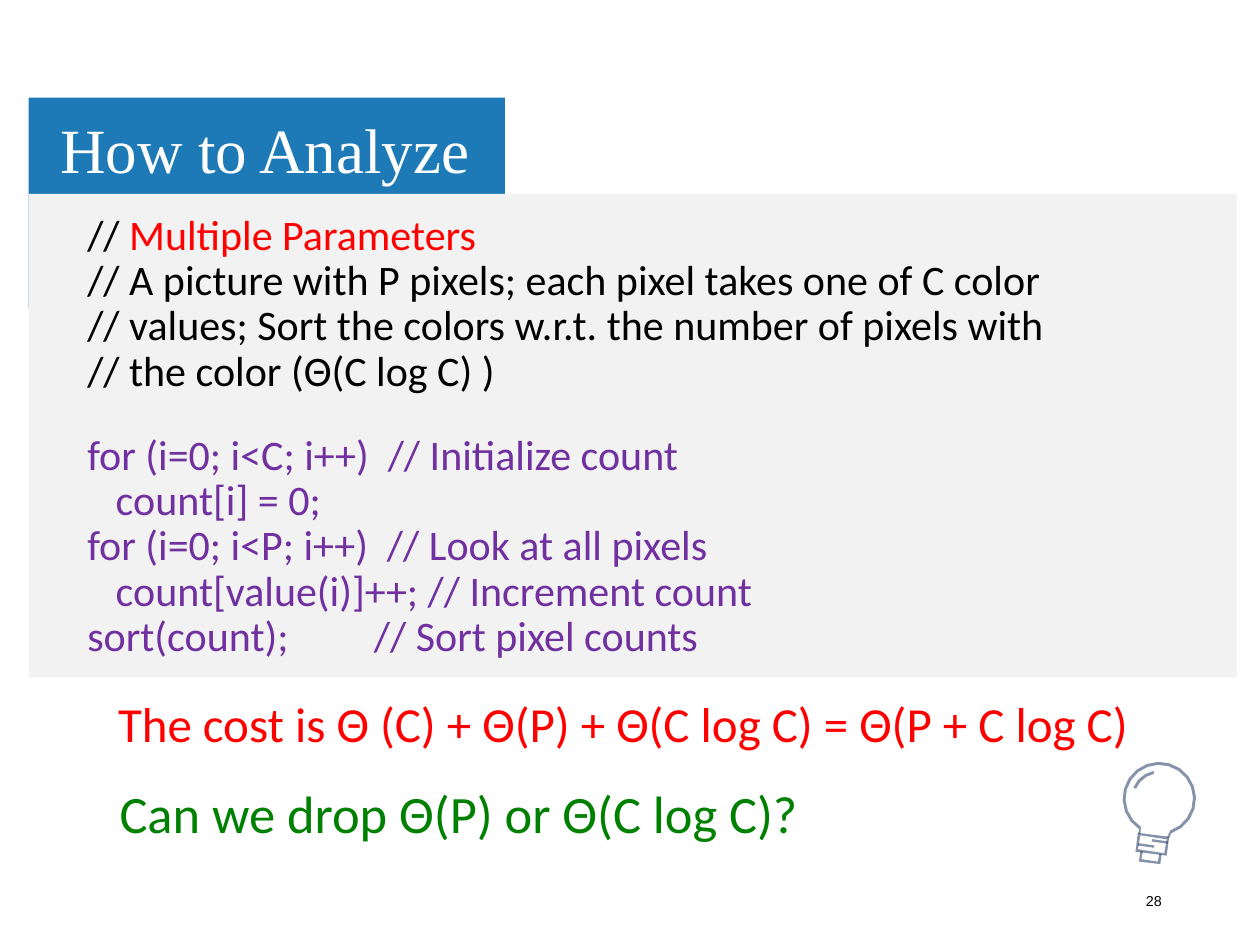
"""Build the How to Analyze slide on cost with multiple parameters."""
from math import cos, radians, sin

from lxml import etree
from pptx import Presentation
from pptx.dml.color import RGBColor
from pptx.enum.shapes import MSO_SHAPE
from pptx.enum.text import MSO_ANCHOR, PP_ALIGN
from pptx.oxml.ns import qn
from pptx.util import Cm, Pt

RECTANGLE = MSO_SHAPE.RECTANGLE
TOP, MIDDLE = MSO_ANCHOR.TOP, MSO_ANCHOR.MIDDLE
LEFT, RIGHT = PP_ALIGN.LEFT, PP_ALIGN.RIGHT

BLUE = RGBColor(0x1E, 0x7A, 0xB6)
GRAY = RGBColor(0xF2, 0xF2, 0xF2)
WHITE = RGBColor(0xFF, 0xFF, 0xFF)
BLACK = RGBColor(0x00, 0x00, 0x00)
RED = RGBColor(0xFF, 0x00, 0x00)
PURPLE = RGBColor(0x70, 0x30, 0xA0)
GREEN = RGBColor(0x00, 0x80, 0x00)
NAVY = RGBColor(0x20, 0x38, 0x64)

COMMENTS = [
    "// ",
    "// A picture with P pixels; each pixel takes one of C color",
    "// values; Sort the colors w.r.t. the number of pixels with",
    "// the color (Θ(C log C) )",
]
CODE = [
    "for (i=0; i<C; i++)  // Initialize count",
    "   count[i] = 0;",
    "for (i=0; i<P; i++)  // Look at all pixels",
    "   count[value(i)]++; // Increment count",
    "sort(count);         // Sort pixel counts",
]

BULB_CENTER = (23.37, 16.1)
BULB_TILT = 8
ARC_STEP = 18
CAP = [(23.39, 17.42), (22.96, 17.37), (22.99, 17.15), (23.04, 17.17),
       (23.01, 17.32), (23.34, 17.37), (23.37, 17.22), (23.42, 17.22)]
SOCKET_OUTER = [(23.52, 17.25), (22.89, 17.17), (22.94, 16.79), (23.57, 16.87)]
SOCKET_INNER = [(22.94, 17.12), (23.47, 17.2), (23.52, 16.92), (22.99, 16.84)]
NECK_LEFT = [(22.94, 16.81), (22.99, 16.81)]
NECK_RIGHT = [(23.52, 16.89), (23.57, 16.89)]


def style_paragraph(paragraph, size, color, font="Calibri", alignment=LEFT):
    """Set the font and alignment of a paragraph."""
    paragraph.alignment = alignment
    paragraph.font.name = font
    paragraph.font.size = Pt(size)
    paragraph.font.color.rgb = color


def paint(shape, color, opacity=100):
    """Fill a shape without line or shadow."""
    shape.shadow.inherit = False
    shape.line.fill.background()
    shape.fill.solid()
    shape.fill.fore_color.rgb = color
    if opacity < 100:
        color_element = shape.element.spPr.find(qn("a:solidFill"))[0]
        alpha = etree.SubElement(color_element, qn("a:alpha"))
        alpha.set("val", str(opacity * 1000))


def add_panel(shapes, left, top, width, height, color, opacity=100, rotation=0):
    """Add a plain rectangle measured in centimetres."""
    panel = shapes.add_shape(RECTANGLE, Cm(left), Cm(top), Cm(width), Cm(height))
    panel.rotation = rotation
    paint(panel, color, opacity)


def add_text_box(slide, left, top, width, height, anchor=TOP):
    """Add an empty wrapping text box and return its text frame."""
    box = slide.shapes.add_textbox(Cm(left), Cm(top), Cm(width), Cm(height))
    frame = box.text_frame
    frame.word_wrap = True
    frame.vertical_anchor = anchor
    return frame


def add_line(slide, text, box, size, color, **style):
    """Add a text box that holds one line."""
    paragraph = add_text_box(slide, *box).paragraphs[0]
    paragraph.text = text
    style_paragraph(paragraph, size, color, **style)


def add_title(slide):
    """Format the title placeholder and bring it above the panels."""
    title = slide.shapes.title
    title.left, title.top, title.width, title.height = Cm(1.03), Cm(2.08), Cm(9.09), Cm(2.01)
    frame = title.text_frame
    frame.margin_left = frame.margin_right = Cm(0.18)
    frame.margin_top = frame.margin_bottom = Cm(0.1)
    frame.vertical_anchor = MIDDLE
    paragraph = frame.paragraphs[0]
    paragraph.text = "How to Analyze"
    paragraph.line_spacing = 0.9
    style_paragraph(paragraph, 36, WHITE, "Times New Roman")
    slide.shapes.element.append(title.element)


def add_code(slide):
    """Add the commented listing with a gap before the code."""
    frame = add_text_box(slide, 1.51, 4.19, 23.89, 10.69)
    frame.text = "\n".join(COMMENTS + CODE)
    for index, paragraph in enumerate(frame.paragraphs):
        paragraph.line_spacing = 0.9
        style_paragraph(paragraph, 24, BLACK if index < len(COMMENTS) else PURPLE)
    frame.paragraphs[len(COMMENTS)].space_before = Pt(22)
    topic = frame.paragraphs[0].add_run()
    topic.text = "Multiple Parameters"
    topic.font.color.rgb = RED


def arc(radius, start, end):
    """Return evenly spaced points along an arc around the bulb centre."""
    steps = round(abs(end - start) / ARC_STEP)
    angles = [radians(start + (end - start) * step / steps) for step in range(steps + 1)]
    x, y = BULB_CENTER
    return [(x + radius * cos(angle), y + radius * sin(angle)) for angle in angles]


def add_outline(shapes, *contours):
    """Add a translucent freeform made of closed contours."""
    builder = None
    for contour in contours:
        first, *others = [(Cm(x), Cm(y)) for x, y in contour]
        if builder is None:
            builder = shapes.build_freeform(*first)
        else:
            builder.move_to(*first)
        builder.add_line_segments(others, close=True)
    paint(builder.convert_to_shape(), NAVY, 54)


def add_light_bulb(slide):
    """Draw the grouped light bulb icon."""
    shapes = slide.shapes.add_group_shape().shapes
    add_outline(shapes, CAP)
    add_outline(shapes, arc(0.74, 71, -237) + NECK_LEFT + arc(0.68, -237, 71) + NECK_RIGHT)
    add_outline(shapes, SOCKET_OUTER, SOCKET_INNER)
    for left, top in [(23.22, 16.94), (22.94, 17.02)]:
        add_panel(shapes, left, top, 0.33, 0.05, NAVY, 54, BULB_TILT)
    add_outline(shapes, arc(0.57, 203, 258) + arc(0.51, 258, 203))


def main():
    """Build and save the presentation."""
    presentation = Presentation()
    presentation.slide_width, presentation.slide_height = Cm(25.4), Cm(19.05)
    slide = presentation.slides.add_slide(presentation.slide_layouts[5])
    add_panel(slide.shapes, 0.58, 1.97, 9.6, 4.24, BLUE)
    add_panel(slide.shapes, 0.58, 3.91, 24.35, 9.75, GRAY)
    add_title(slide)
    add_code(slide)
    add_line(slide, "28", (17.95, 17.65, 5.72, 1.02, MIDDLE), 8.2, BLACK,
             font="Arial", alignment=RIGHT)
    add_line(slide, "The cost is Θ (C) + Θ(P) + Θ(C log C) = Θ(P + C log C)",
             (2.13, 13.86, 21.31, 1.45), 28, RED)
    add_line(slide, "Can we drop Θ(P) or Θ(C log C)?", (2.16, 15.62, 16.97, 1.52), 30, GREEN)
    add_light_bulb(slide)
    presentation.save("out.pptx")


if __name__ == "__main__":
    main()
